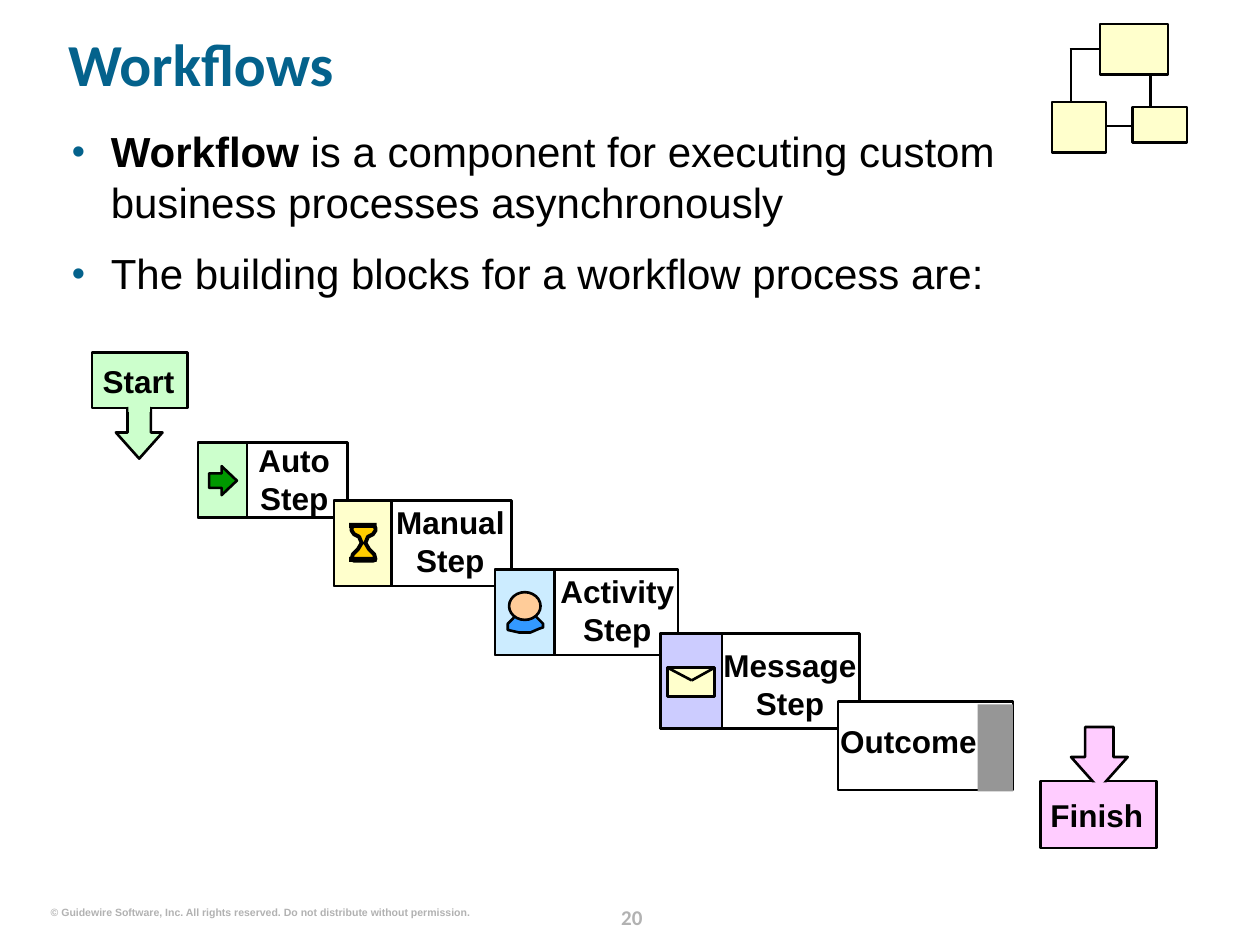
from lxml import etree
from pptx import Presentation
from pptx.dml.color import RGBColor
from pptx.enum.shapes import MSO_CONNECTOR, MSO_SHAPE
from pptx.enum.text import MSO_ANCHOR, PP_ALIGN
from pptx.oxml.ns import qn
from pptx.util import Inches, Pt

RECT, OVAL = MSO_SHAPE.RECTANGLE, MSO_SHAPE.OVAL
DOWN, RIGHT = MSO_SHAPE.DOWN_ARROW, MSO_SHAPE.RIGHT_ARROW
STRAIGHT = MSO_CONNECTOR.STRAIGHT
LEFT, CENTER, FLUSH_RIGHT = PP_ALIGN.LEFT, PP_ALIGN.CENTER, PP_ALIGN.RIGHT
TOP, MIDDLE = MSO_ANCHOR.TOP, MSO_ANCHOR.MIDDLE
COLUMNS, ROWS = 100, 75

BLACK, WHITE, TEAL, PALE_GREY, GREY = "000000", "FFFFFF", "04628C", "B2B2B2", "969696"
GREEN, DARK_GREEN, YELLOW, GOLD = "CCFFCC", "009900", "FFFFCC", "FFCC00"
SKY, BLUE, SKIN, LILAC, PINK = "CCECFF", "3399FF", "FFCC99", "CCCCFF", "FFCCFF"


def rgb(value):
    """Turn a hex string into a colour."""
    return RGBColor.from_string(value)


class WorkflowSlide:
    """Draws styled elements on a slide measured in grid columns and rows."""

    def __init__(self, deck):
        self.slide = deck.slides.add_slide(deck.slide_layouts[6])
        self.shapes = self.slide.shapes
        self.column = deck.slide_width / COLUMNS
        self.row = deck.slide_height / ROWS

    def place(self, x, y):
        """Convert a grid position or size to slide units."""
        return round(x * self.column), round(y * self.row)

    def style(self, shape, fill, weight):
        """Apply a flat fill and a black outline, or none at weight zero."""
        shape.shadow.inherit = False
        shape.fill.solid()
        shape.fill.fore_color.rgb = rgb(fill)
        if weight:
            shape.line.color.rgb = rgb(BLACK)
            shape.line.width = Pt(weight)
        else:
            shape.line.fill.background()

    def block(self, x, y, w, h, fill, kind=RECT, weight=1.5, adjust=()):
        """Add a preset shape."""
        shape = self.shapes.add_shape(kind, *self.place(x, y), *self.place(w, h))
        self.style(shape, fill, weight)
        for index, value in enumerate(adjust):
            shape.adjustments[index] = value

    def outline(self, points, fill, weight=1.5):
        """Add a closed polygon."""
        corners = [self.place(x, y) for x, y in points]
        builder = self.shapes.build_freeform(*corners[0])
        builder.add_line_segments(corners[1:], close=True)
        self.style(builder.convert_to_shape(), fill, weight)

    def line(self, x1, y1, x2, y2):
        """Add a straight black connector."""
        link = self.shapes.add_connector(STRAIGHT, *self.place(x1, y1), *self.place(x2, y2))
        link.line.color.rgb = rgb(BLACK)
        link.line.width = Pt(1.5)
        etree.SubElement(link._element.spPr, qn("a:effectLst"))

    def frame(self, x, y, w, h, anchor=TOP, wrap=True):
        """Add an empty text box without margins and return its frame."""
        frame = self.shapes.add_textbox(*self.place(x, y), *self.place(w, h)).text_frame
        frame.margin_left = frame.margin_right = frame.margin_top = frame.margin_bottom = 0
        frame.word_wrap, frame.vertical_anchor = wrap, anchor
        return frame

    def format(self, run, size, color=BLACK, bold=True, font="Arial"):
        """Set the font of a run."""
        run.font.name, run.font.size, run.font.bold = font, Pt(size), bold
        run.font.color.rgb = rgb(color)

    def label(self, x, y, w, h, text, size=18, color=BLACK, font="Arial",
              align=CENTER, anchor=TOP, wrap=True, spacing=None):
        """Add one bold paragraph of text."""
        paragraph = self.frame(x, y, w, h, anchor, wrap).paragraphs[0]
        paragraph.text = text
        paragraph.alignment = align
        paragraph.line_spacing = spacing
        for run in paragraph.runs:
            self.format(run, size, color, font=font)

    def bullets(self, x, y, w, h, items):
        """Add bulleted paragraphs, each with an optional bold lead-in."""
        frame = self.frame(x, y, w, h)
        for index, (lead, rest) in enumerate(items):
            paragraph = frame.add_paragraph() if index else frame.paragraphs[0]
            props = paragraph._p.get_or_add_pPr()
            props.set("marL", str(Inches(0.31)))
            props.set("indent", str(-Inches(0.31)))
            bullet_color = etree.SubElement(props, qn("a:buClr"))
            etree.SubElement(bullet_color, qn("a:srgbClr"), val=TEAL)
            etree.SubElement(props, qn("a:buSzPct"), val="90000")
            etree.SubElement(props, qn("a:buFont"), typeface="Arial")
            etree.SubElement(props, qn("a:buChar"), char="•")
            if index:
                paragraph.space_before = Pt(12)
            paragraph.text = lead + rest
            if lead:
                paragraph.text = lead
                for part, text in enumerate(rest.split("\n")):
                    if part:
                        paragraph.add_line_break()
                    paragraph.add_run().text = text
            for position, run in enumerate(paragraph.runs):
                self.format(run, 24, bold=bool(lead) and position == 0)

    def step(self, x, y, w, h, side, fill):
        """Add a step card with a coloured icon panel on its left."""
        self.block(x, y, w, h, WHITE)
        self.block(x, y, side, h, fill)


def draw_emblem(page):
    """Draw the small linked-boxes emblem."""
    for ends in [(85, 8.2, 85, 3.8), (87.8, 10, 89.9, 10),
                 (91.3, 5.8, 91.3, 8.6), (84.9, 3.9, 87.3, 3.9)]:
        page.line(*ends)
    for box in [(87.3, 1.9, 5.4, 4), (83.5, 8.1, 4.3, 4), (89.9, 8.5, 4.3, 2.8)]:
        page.block(*box, YELLOW)


def draw_terminals(page):
    """Draw the finish and start boxes, each merged with its arrow."""
    terminals = [
        (PINK, (82.6, 62, 9.2, 5.3), (85, 57.7, 4.5, 4.9), (86.2, 62.1, 2.1, 0.9),
         (83.3, 63.2, 7.5, 3), "Finish"),
        (GREEN, (7.3, 28, 7.6, 4.4), (9.2, 32.4, 3.7, 4), (10.2, 32, 1.7, 0.7),
         (7.9, 28.7, 6.2, 3), "Start"),
    ]
    for fill, box, arrow, seam, name_area, name in terminals:
        page.block(*box, fill)
        page.block(*arrow, fill, DOWN, adjust=(0.5, 0.56))
        page.block(*seam, fill, weight=0)
        page.label(*name_area, name)


def draw_steps(page):
    """Draw the cascade of steps from auto step to outcome."""
    page.step(15.7, 35.1, 11.9, 6, 3.9, GREEN)
    page.block(16.6, 37, 2.2, 2.3, DARK_GREEN, RIGHT, adjust=(0.5, 0.55))
    page.label(19.7, 35, 7.3, 6, "Auto\nStep")

    page.step(26.5, 39.7, 14.1, 6.8, 4.6, YELLOW)
    glass_left = [(28.1, 41.7), (27.9, 41.9), (27.9, 42.1), (28.1, 42.4), (28.5, 42.6),
                  (28.7, 43.1), (28.4, 43.6), (28, 44), (27.9, 44.4), (28.1, 44.5)]
    glass_right = [(57.7 - x, y) for x, y in reversed(glass_left)]
    page.outline(glass_left + glass_right, GOLD, 2.25)
    for cap_top in (41.5, 44.2):
        page.block(27.7, cap_top, 2.2, 0.4, BLACK, weight=0)
    page.label(31.1, 39.9, 9.3, 6, "Manual\nStep")

    page.step(39.3, 45.2, 14.5, 6.8, 4.7, SKY)
    page.outline([(41, 48.8), (40.3, 49.5), (40.3, 50), (41.2, 50.2), (42.1, 50.2),
                  (42.8, 49.9), (43.1, 49.8), (43.1, 49.5), (42.4, 48.8)], BLUE)
    page.block(40.4, 47, 2.5, 2.2, SKIN, OVAL)
    page.label(44.3, 45.4, 9.4, 6, "Activity\nStep")

    page.step(52.4, 50.3, 15.8, 7.5, 4.9, LILAC)
    page.block(53, 53, 3.7, 2.3, YELLOW)
    for flap_corner in (53, 56.7):
        page.line(54.9, 54, flap_corner, 53)
    page.label(57.3, 51.3, 10.8, 6, "Message\nStep")

    page.block(66.5, 55.7, 13.9, 7, WHITE)
    page.block(77.6, 55.9, 2.8, 6.9, GREY, weight=0)
    page.label(66.4, 57.3, 11.4, 3, "Outcome")


def main():
    """Build and save the slide."""
    deck = Presentation()
    deck.slide_width, deck.slide_height = Inches(10), Inches(7.5)
    page = WorkflowSlide(deck)
    page.label(47.3, 71.3, 5.7, 2.5, "20", 12, PALE_GREY, "Calibri", spacing=Pt(18))
    page.label(4, 71.9, 33.3, 1, "© Guidewire Software, Inc. All rights reserved. "
               "Do not distribute without permission.", 6, PALE_GREY,
               align=FLUSH_RIGHT, wrap=False)
    page.label(5.4, 1.3, 91, 8.1, "Workflows", 34, TEAL, "Calibri", LEFT, MIDDLE, spacing=0.9)
    page.bullets(5.7, 10, 91, 60, [
        ("Workflow", " is a component for executing custom\nbusiness processes asynchronously"),
        ("", "The building blocks for a workflow process are:"),
    ])
    draw_emblem(page)
    draw_terminals(page)
    draw_steps(page)
    deck.save("out.pptx")


if __name__ == "__main__":
    main()
